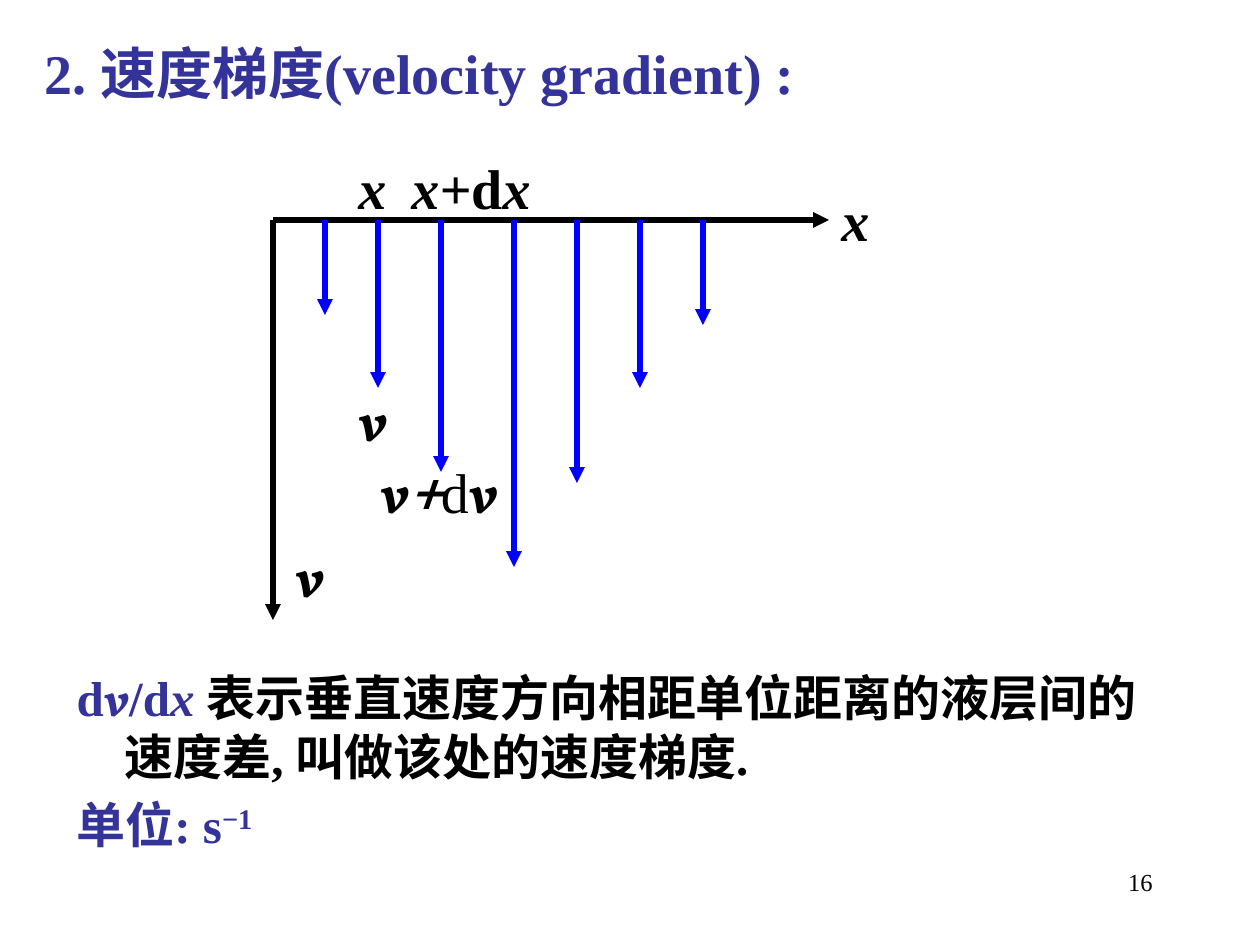
"""Build the velocity gradient slide with its profile diagram."""
from lxml.etree import SubElement
from pptx import Presentation
from pptx.dml.color import RGBColor
from pptx.enum.shapes import MSO_CONNECTOR
from pptx.enum.text import MSO_ANCHOR, MSO_AUTO_SIZE, PP_ALIGN
from pptx.oxml.ns import qn
from pptx.util import Emu, Pt

BLACK = RGBColor(0x00, 0x00, 0x00)
BLUE = RGBColor(0x00, 0x00, 0xFF)
INDIGO = RGBColor(0x33, 0x33, 0x99)
SERIF, SYMBOL, PLUS = "Times New Roman", "Vollkorn", "Roboto Slab"
ORIGIN_X, AXIS_Y = 273, 220
HANGING = 48

X = ("x", {"italic": True})
V = ("v", {"font": SYMBOL, "italic": True})
PROFILE = [(325, 315), (378, 388), (441, 472), (514, 567),
           (577, 483), (640, 388), (703, 325)]
LABELS = [
    (346, 147, 53, [X]),
    (399, 147, 158, [("x+", {"italic": True}), ("d", {}), X]),
    (346, 379, 57, [V]),
    (368, 451, 210, [V, ("+", {"font": PLUS, "bold": False, "italic": True}),
                     ("d", {"bold": False}), V]),
    (829, 179, 53, [X]),
    (283, 535, 53, [V]),
]
DEFINITION = [
    ("d", {"color": INDIGO}),
    ("v", {"font": SYMBOL, "color": INDIGO, "italic": True}),
    ("/d", {"color": INDIGO}),
    ("x ", {"color": INDIGO, "italic": True}),
    ("表示垂直速度方向相距单位距离的液层间的速度差, 叫做该处的速度梯度.", {}),
]
UNIT = [("单位: s", {"color": INDIGO}), ("−1", {"color": INDIGO, "baseline": 30})]


def px(n):
    """Turn pixels into EMU."""
    return Emu(round(n * 914400 / 126))


def add_run(p, text, size=32, font=SERIF, color=BLACK, bold=True, italic=False,
            baseline=0):
    """Add a formatted run to a paragraph."""
    r = p.add_run()
    r.text = text
    f = r.font
    f.size, f.name, f.bold, f.italic = Pt(size), font, bold, italic
    f.color.rgb = color
    if baseline:
        r._r.get_or_add_rPr().set("baseline", str(baseline * 1000))


def add_arrow(slide, x1, y1, x2, y2, color):
    """Draw a straight arrow."""
    c = slide.shapes.add_connector(MSO_CONNECTOR.STRAIGHT,
                                   px(x1), px(y1), px(x2), px(y2))
    c.line.color.rgb = color
    c.line.width = Pt(3)
    SubElement(c.line._get_or_add_ln(), qn("a:tailEnd"), type="triangle")
    SubElement(c._element.spPr, qn("a:effectLst"))


def add_label(slide, x, y, w, h, runs, align=PP_ALIGN.LEFT, size=32):
    """Add a one-line text box."""
    tf = slide.shapes.add_textbox(px(x), px(y), px(w), px(h)).text_frame
    tf.word_wrap = True
    p = tf.paragraphs[0]
    p.alignment = align
    for text, style in runs:
        add_run(p, text, size=size, **style)


def fill_placeholder(sp, x, y, w, h, paragraphs, size):
    """Place a placeholder and fill it with hanging paragraphs."""
    sp.left, sp.top, sp.width, sp.height = px(x), px(y), px(w), px(h)
    tf = sp.text_frame
    tf.word_wrap = True
    tf.auto_size = MSO_AUTO_SIZE.NONE
    tf.vertical_anchor = MSO_ANCHOR.TOP
    for i, runs in enumerate(paragraphs):
        p = tf.add_paragraph() if i else tf.paragraphs[0]
        pPr = p._p.get_or_add_pPr()
        pPr.set("marL", str(px(HANGING)))
        pPr.set("indent", str(-px(HANGING)))
        SubElement(pPr, qn("a:buNone"))
        p.alignment = PP_ALIGN.LEFT
        p.space_before = Pt(0.2 * size if i else 0)
        for text, style in runs:
            add_run(p, text, size=size, **style)


def main():
    """Build and save the slide."""
    prs = Presentation()
    prs.slide_width, prs.slide_height = px(1260), px(945)
    slide = prs.slides.add_slide(prs.slide_layouts[1])
    heading = [("2. 速度梯度(velocity gradient) :", {"color": INDIGO})]
    fill_placeholder(slide.shapes.title, 32, 32, 1155, 84, [heading], 32)
    fill_placeholder(slide.placeholders[1], 64, 661, 1124, 218,
                     [DEFINITION, UNIT], 28)
    add_arrow(slide, ORIGIN_X, AXIS_Y, 829, AXIS_Y, BLACK)
    add_arrow(slide, ORIGIN_X, AXIS_Y, ORIGIN_X, 620, BLACK)
    for x, tip in PROFILE:
        add_arrow(slide, x, AXIS_Y, x, tip, BLUE)
    for x, y, w, runs in LABELS:
        add_label(slide, x, y, w, 79, runs)
    add_label(slide, 903, 861, 262, 63, [("16", {"bold": False})],
              align=PP_ALIGN.RIGHT, size=14)
    prs.save("out.pptx")


if __name__ == "__main__":
    main()
